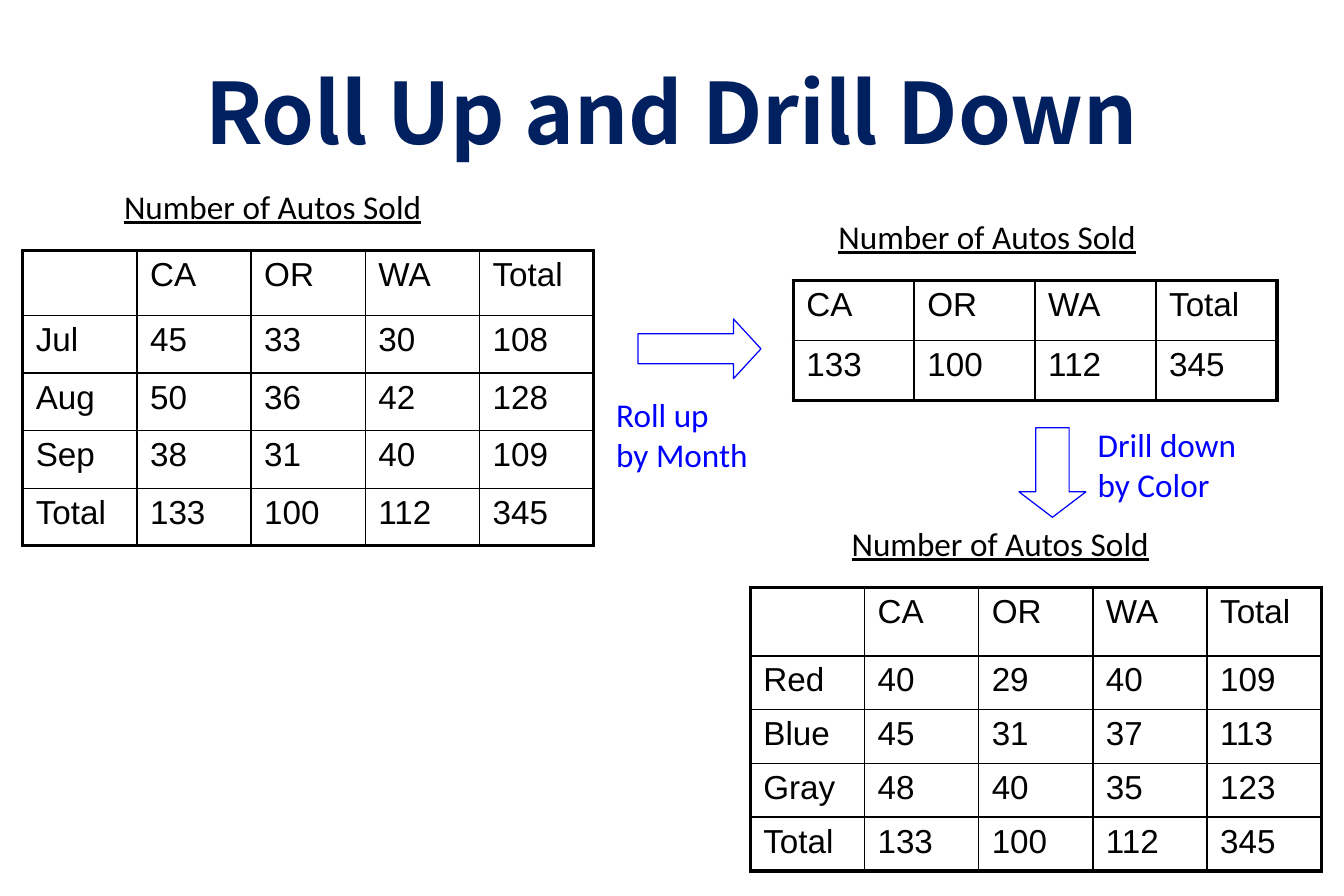
from lxml.etree import SubElement
from pptx import Presentation
from pptx.dml.color import RGBColor
from pptx.enum.shapes import MSO_SHAPE as Shape
from pptx.enum.text import MSO_ANCHOR as Anchor, PP_ALIGN as Align
from pptx.oxml.ns import qn
from pptx.util import Inches, Pt

BLACK, BLUE, NAVY = "000000", "0000FF", "002060"
THIN, THICK = 1, 2.25
CAPTION_RISE = 0.59
REGIONS = ["CA", "OR", "WA", "Total"]
STATE_TOTALS = [133, 100, 112, 345]

BY_MONTH = [
    ["", *REGIONS],
    ["Jul", 45, 33, 30, 108],
    ["Aug", 50, 36, 42, 128],
    ["Sep", 38, 31, 40, 109],
    ["Total", *STATE_TOTALS],
]
ROLLED_UP = [REGIONS, STATE_TOTALS]
BY_COLOR = [
    ["", *REGIONS],
    ["Red", 40, 29, 40, 109],
    ["Blue", 45, 31, 37, 113],
    ["Gray", 48, 40, 35, 123],
    ["Total", *STATE_TOTALS],
]


def color(hex_string):
    return RGBColor.from_string(hex_string)


def write(frame, text, font="Calibri", size=20, ink=BLACK, bold=False,
          underline=False, align=Align.LEFT):
    paragraph = frame.paragraphs[0]
    paragraph.alignment = align
    paragraph.text = text
    for run in paragraph.runs:
        style = run.font
        style.name, style.size = font, Pt(size)
        style.bold, style.underline = bold, underline
        style.color.rgb = color(ink)


def add_label(slide, box, text, anchor=Anchor.TOP, **text_format):
    frame = slide.shapes.add_textbox(*map(Inches, box)).text_frame
    frame.word_wrap = True
    frame.vertical_anchor = anchor
    write(frame, text, **text_format)


def set_borders(cell, widths):
    properties = cell._tc.get_or_add_tcPr()
    for side, width in widths.items():
        line = SubElement(properties, qn(f"a:ln{side}"), w=str(Pt(width)))
        fill = SubElement(line, qn("a:solidFill"))
        SubElement(fill, qn("a:srgbClr"), val=BLACK)


def add_sales_table(slide, box, sales, header_height, caption_indent):
    left, top, width, height = box

    # Caption above the grid
    add_label(slide, (left + caption_indent, top - CAPTION_RISE, 3.75, 0.43),
              "Number of Autos Sold", underline=True)

    # Grid with a heavy outer frame
    last_row, last_column = len(sales) - 1, len(sales[0]) - 1
    grid = slide.shapes.add_table(
        last_row + 1, last_column + 1, *map(Inches, box)).table
    grid.first_row = grid.horz_banding = False
    for column in grid.columns:
        column.width = Inches(width / (last_column + 1))
    for r, row in enumerate(grid.rows):
        row.height = Inches(
            (height - header_height) / last_row if r else header_height)
        for c, cell in enumerate(row.cells):
            set_borders(cell, {
                "L": THIN if c else THICK,
                "R": THICK if c == last_column else THIN,
                "T": THIN if r else THICK,
                "B": THICK if r == last_row else THIN,
            })
            cell.fill.background()
            cell.margin_left = cell.margin_right = Inches(0.11)
            cell.margin_top = cell.margin_bottom = Inches(0.05)
            write(cell.text_frame, str(sales[r][c]), font="Arial")


def add_step(slide, box, direction, head_length, text, label_offset):
    left, top = box[:2]
    dx, dy = label_offset

    # Outlined block arrow
    arrow = slide.shapes.add_shape(direction, *map(Inches, box))
    arrow.adjustments[0], arrow.adjustments[1] = 0.5, head_length
    arrow.shadow.inherit = False
    arrow.fill.background()
    arrow.line.color.rgb = color(BLUE)
    arrow.line.width = Pt(0.75)

    # Name of the step
    add_label(slide, (left + dx, top + dy, 1.5, 0.77), text, ink=BLUE)


def main():
    deck = Presentation()
    deck.slide_width, deck.slide_height = Inches(11.25), Inches(7.5)
    slide = deck.slides.add_slide(deck.slide_layouts[6])

    # Title
    add_label(slide, (0.56, 0.3, 10.12, 1.25), "Roll Up and Drill Down",
              anchor=Anchor.MIDDLE, font="Noto Sans CJK SC", size=51,
              ink=NAVY, bold=True, align=Align.CENTER)

    # Sales by month, rolled up, then by color
    add_sales_table(slide, (0.19, 2.1, 4.78, 2.47), BY_MONTH, 0.54, 0.75)
    add_sales_table(slide, (6.64, 2.35, 4.05, 1), ROLLED_UP, 0.5, 0.28)
    add_sales_table(slide, (6.28, 4.92, 4.78, 2.37), BY_COLOR, 0.57, 0.75)

    # Steps between the tables
    add_step(slide, (5.34, 2.67, 1.03, 0.5), Shape.RIGHT_ARROW, 0.46,
             "Roll up\vby Month", (-0.28, 0.58))
    add_step(slide, (8.53, 3.58, 0.56, 0.75), Shape.DOWN_ARROW, 0.38,
             "Drill down\vby Color", (0.56, -0.08))

    deck.save("out.pptx")


if __name__ == "__main__":
    main()
